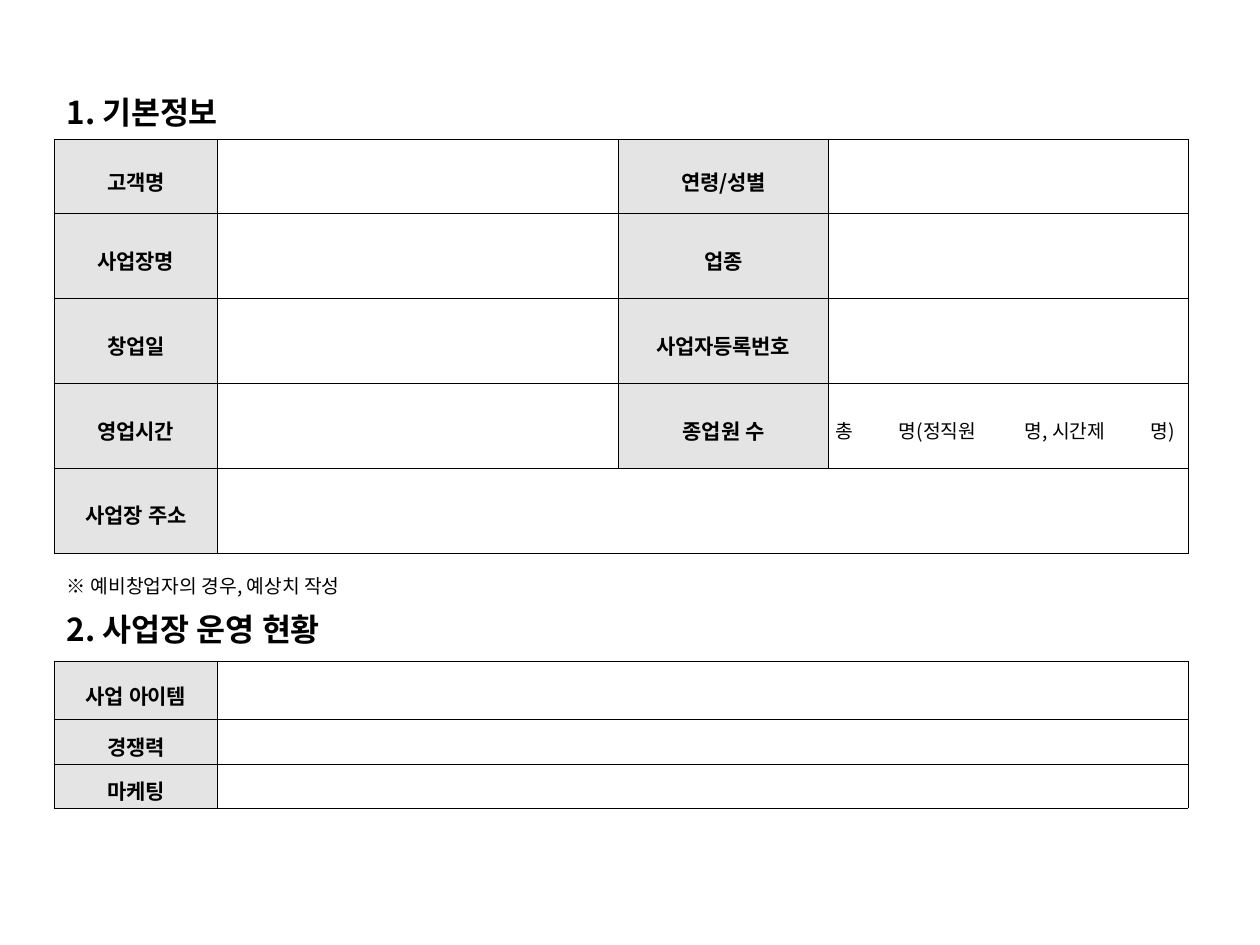
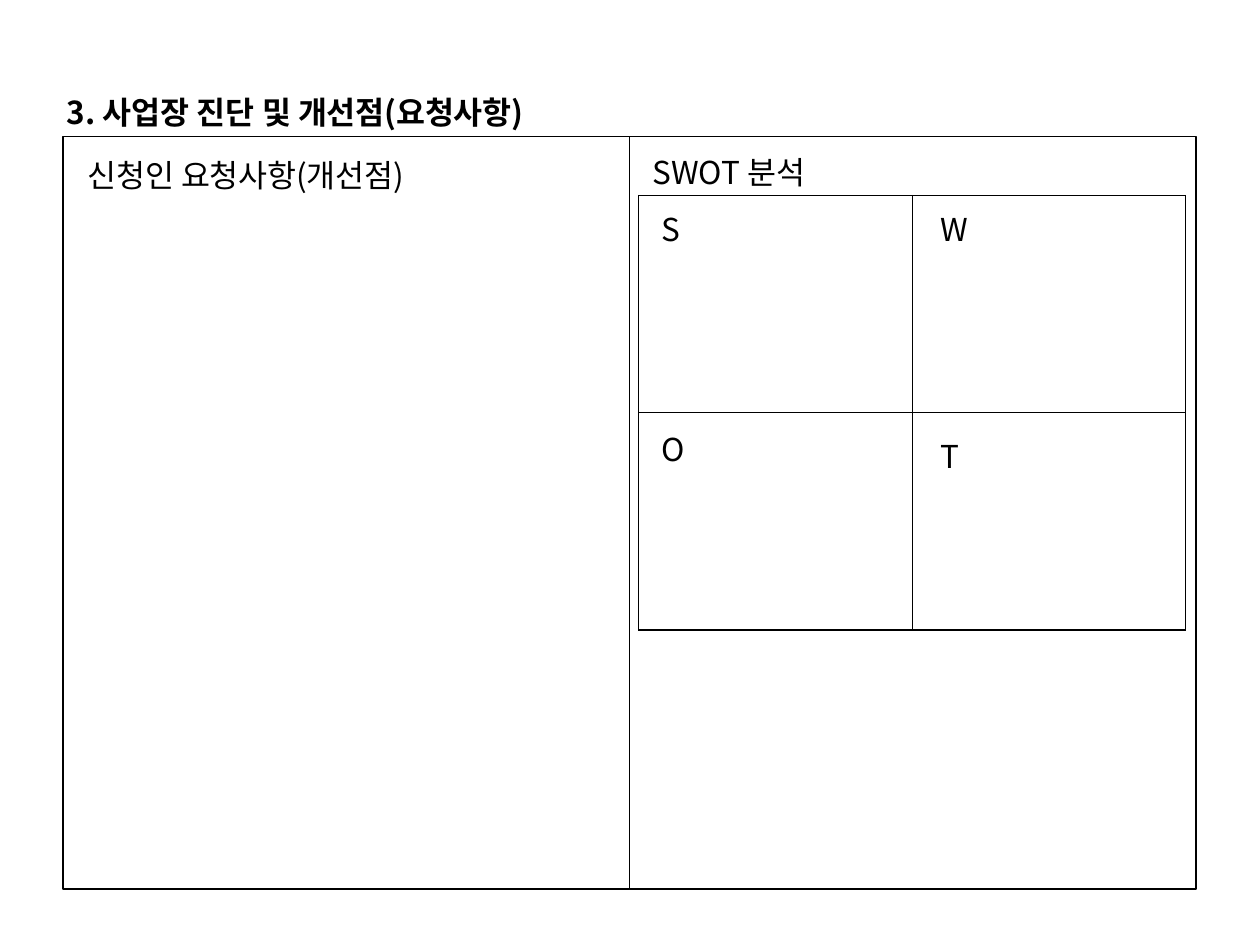
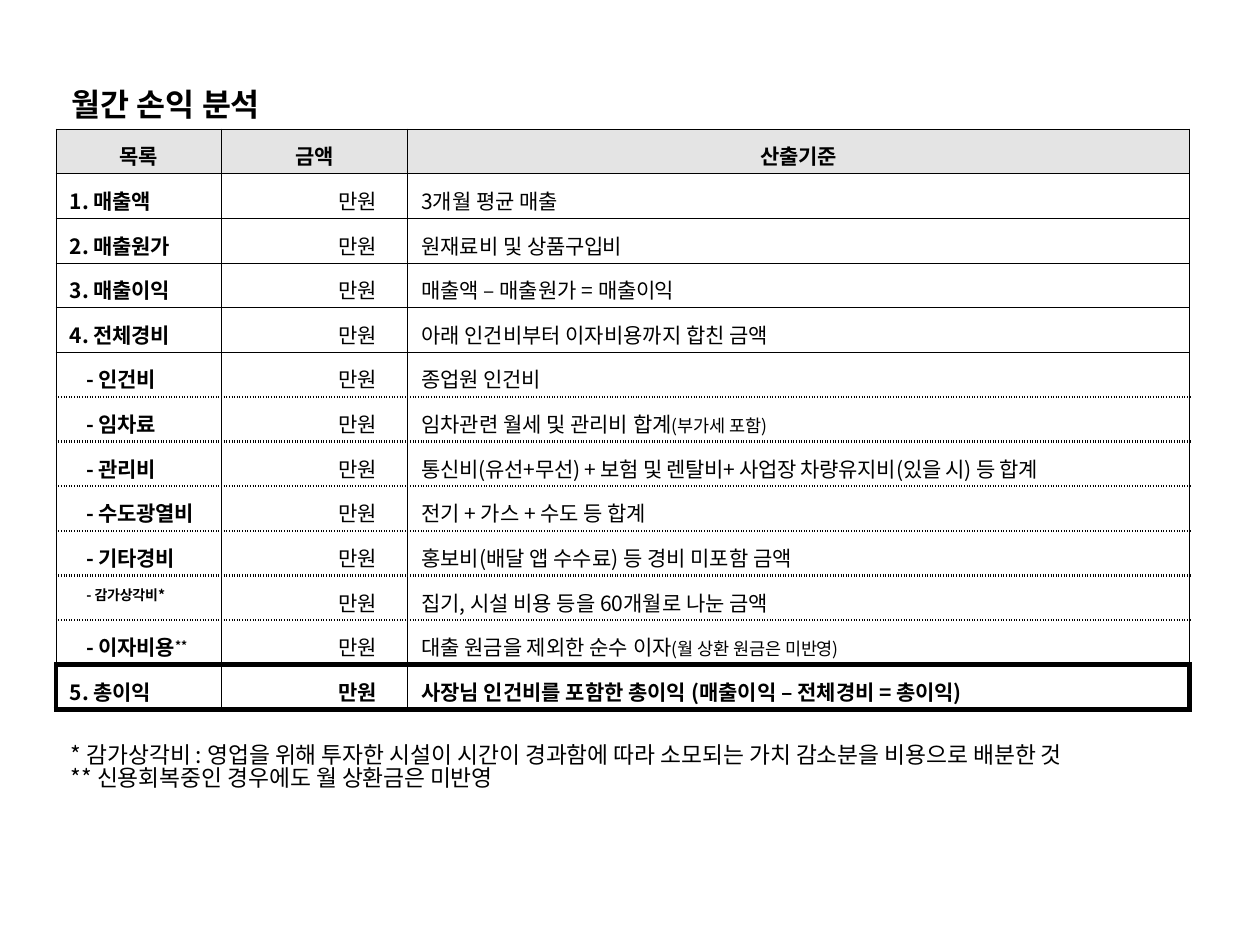
from dataclasses import dataclass
from typing import Optional

import pptx
import pptx.dml.color
import pptx.enum.text
import pptx.oxml.ns
import pptx.util
from lxml import etree

Cm = pptx.util.Cm
Pt = pptx.util.Pt
qn = pptx.oxml.ns.qn
ALIGN = pptx.enum.text.PP_ALIGN
ANCHOR = pptx.enum.text.MSO_ANCHOR

BLACK = pptx.dml.color.RGBColor(0x00, 0x00, 0x00)
LABEL_GREY = pptx.dml.color.RGBColor(0xE4, 0xE4, 0xE4)
FONT = "Noto Sans CJK KR"
TAIL_SPACING = -0.2
HEADING_SIZE = 18


@dataclass(frozen=True)
class Part:
    text: str
    size: float = 12
    bold: bool = False
    spacing: float = 0
    baseline: int = 0


@dataclass(frozen=True)
class Layout:
    align: ALIGN = ALIGN.LEFT
    indent: float = 0
    right_indent: float = 0
    tabs: tuple[float, ...] = ()
    top: float = 0


@dataclass(frozen=True)
class Border:
    width: float
    dash: str = "solid"


@dataclass(frozen=True)
class Item:
    label: str
    basis: str
    remark: str = ""
    mark: str = ""
    label_size: float = 12
    spacing: float = 0

    @property
    def is_expense(self) -> bool:
        return self.label.startswith("-")


@dataclass(frozen=True)
class Quadrant:
    letter: str
    row: int
    column: int
    top: float


THIN = Border(0.5)
MEDIUM = Border(0.75)
THICK = Border(3)
DOTTED = Border(1.5, "dot")

BASIC_ROWS = [
    ("고객명", "연령/성별"),
    ("사업장명", "업종"),
    ("창업일", "사업자등록번호"),
    ("영업시간", "종업원 수"),
    ("사업장 주소", ""),
]
STAFF_COUNT = "총\t명(정직원\t명, 시간제\t명)"
OPERATION_LABELS = ["사업 아이템", "경쟁력", "마케팅"]
QUADRANTS = [
    Quadrant("S", 0, 0, 0.2),
    Quadrant("W", 0, 1, 0.2),
    Quadrant("O", 1, 0, 0.25),
    Quadrant("T", 1, 1, 0.38),
]
PROFIT_HEADERS = ["목록", "금액", "산출기준"]
ITEMS = [
    Item("1. 매출액", "3개월 평균 매출"),
    Item("2. 매출원가", "원재료비 및 상품구입비"),
    Item("3. 매출이익", "매출액 – 매출원가 = 매출이익"),
    Item("4. 전체경비", "아래 인건비부터 이자비용까지 합친 금액"),
    Item("- 인건비", "종업원 인건비"),
    Item("- 임차료", "임차관련 월세 및 관리비 합계", "(부가세 포함)"),
    Item("- 관리비",
         "통신비(유선+무선) + 보험 및 렌탈비+ 사업장 차량유지비(있을 시) 등 합계",
         spacing=-0.2),
    Item("- 수도광열비", "전기 + 가스 + 수도 등 합계"),
    Item("- 기타경비", "홍보비(배달 앱 수수료) 등 경비 미포함 금액"),
    Item("- 감가상각비*", "집기, 시설 비용 등을 60개월로 나눈 금액", label_size=8),
    Item("- 이자비용", "대출 원금을 제외한 순수 이자", "(월 상환 원금은 미반영)", "**"),
    Item("5. 총이익", "사장님 인건비를 포함한 총이익 (매출이익 – 전체경비 = 총이익)"),
]
FOOTNOTES = [
    "* 감가상각비 : 영업을 위해 투자한 시설이 시간이 경과함에 따라 소모되는 "
    "가치 감소분을 비용으로 배분한 것",
    "** 신용회복중인 경우에도 월 상환금은 미반영",
]


def phrase(text: str, size: float = 12, bold: bool = False, spacing: float = 0) -> list[Part]:
    """Split off the last word, which is set slightly tighter."""
    lead, space, tail = text.rpartition(" ")
    parts = [Part(lead + space, size, bold, spacing)] if space else []
    return parts + [Part(tail, size, bold, TAIL_SPACING)]


def write(paragraph, parts: list[Part], layout: Layout) -> None:
    paragraph.alignment = layout.align
    properties = paragraph._p.get_or_add_pPr()
    properties.set("marL", str(Cm(layout.indent)))
    properties.set("marR", str(Cm(layout.right_indent)))
    properties.set("indent", "0")
    if layout.tabs:
        stops = etree.SubElement(properties, qn("a:tabLst"))
        for stop in layout.tabs:
            etree.SubElement(stops, qn("a:tab"), pos=str(Cm(stop)), algn="l")
    for part in parts:
        run = paragraph.add_run()
        run.text = part.text
        run.font.size = Pt(part.size)
        run.font.bold = part.bold
        run.font.color.rgb = BLACK
        run.font.name = FONT
        run_properties = run._r.get_or_add_rPr()
        etree.SubElement(run_properties, qn("a:ea"), typeface=FONT)
        run_properties.set("spc", str(round(part.spacing * 100)))
        if part.baseline:
            run_properties.set("baseline", str(part.baseline * 1000))


def add_text(slide, left: float, top: float, width: float, height: float,
             lines: list[list[Part]]):
    """Add a text box whose lines rest on its lower edge."""
    frame = slide.shapes.add_textbox(Cm(left), Cm(top), Cm(width), Cm(height)).text_frame
    frame.word_wrap = True
    frame.vertical_anchor = ANCHOR.BOTTOM
    frame.margin_left = frame.margin_right = frame.margin_top = frame.margin_bottom = 0
    for index, parts in enumerate(lines):
        paragraph = frame.add_paragraph() if index else frame.paragraphs[0]
        write(paragraph, parts, Layout(indent=0.03))
    return frame


def add_heading(slide, left: float, top: float, width: float, text: str,
                bold: bool = True) -> None:
    add_text(slide, left, top, width, 0.84, [phrase(text, HEADING_SIZE, bold)])


def set_borders(cell, left: Border, right: Border, top: Border, bottom: Border) -> None:
    properties = cell._tc.get_or_add_tcPr()
    edges = zip(("a:lnL", "a:lnR", "a:lnT", "a:lnB"), (left, right, top, bottom))
    for position, (tag, border) in enumerate(edges):
        line = etree.Element(qn(tag), w=str(Pt(border.width)))
        fill = etree.SubElement(line, qn("a:solidFill"))
        etree.SubElement(fill, qn("a:srgbClr"), val=str(BLACK))
        etree.SubElement(line, qn("a:prstDash"), val=border.dash)
        properties.insert(position, line)


def add_grid(slide, left: float, top: float, widths: list[float], heights: list[float],
             border: Optional[Border] = THIN):
    """Add an unfilled table; without a border the caller rules each cell."""
    table = slide.shapes.add_table(
        len(heights), len(widths), Cm(left), Cm(top), Cm(sum(widths)), Cm(sum(heights))
    ).table
    table.first_row = table.horz_banding = False
    for column, width in zip(table.columns, widths):
        column.width = Cm(width)
    for row, height in zip(table.rows, heights):
        row.height = Cm(height)
    for cell in table.iter_cells():
        cell.fill.background()
        cell.margin_left = cell.margin_right = cell.margin_top = cell.margin_bottom = 0
        if border:
            set_borders(cell, border, border, border, border)
    return table


def fill_cell(cell, parts: list[Part], layout: Layout) -> None:
    cell.margin_top = Cm(layout.top)
    write(cell.text_frame.paragraphs[0], parts, layout)


def fill_label(cell, text: str, top: float) -> None:
    cell.fill.solid()
    cell.fill.fore_color.rgb = LABEL_GREY
    fill_cell(cell, phrase(text, bold=True), Layout(ALIGN.CENTER, top=top))


def build_basic_info(slide) -> None:
    basics = add_grid(slide, 1.09, 2.82, [3.3, 8.08, 4.23, 7.25], [1.49] + [1.71] * 4)
    for row, labels in enumerate(BASIC_ROWS):
        for column, label in zip((0, 2), labels):
            if label:
                fill_label(basics.cell(row, column), label, 0.63 if row else 0.53)
    fill_cell(basics.cell(3, 3), phrase(STAFF_COUNT, 11),
              Layout(indent=0.15, tabs=(1.5, 3.86, 6.17), top=0.65))
    basics.cell(4, 1).merge(basics.cell(4, 3))

    section = add_text(slide, 1.32, 11.1, 6.07, 1.96, [
        phrase("※ 예비창업자의 경우, 예상치 작성", 11),
        phrase("2. 사업장 운영 현황", HEADING_SIZE, True),
    ])
    section.paragraphs[1].space_before = Pt(7.4)
    add_heading(slide, 1.32, 1.8, 3.38, "1. 기본정보")

    operations = add_grid(slide, 1.09, 13.34, [3.3, 19.56], [1.17, 0.89, 0.89])
    for row, label in enumerate(OPERATION_LABELS):
        fill_label(operations.cell(row, 0), label, 0.23 if row else 0.38)


def add_diagnosis_frame(slide) -> None:
    """Draw two equal panels side by side as one outline."""
    left, top, width, height = Cm(1.27), Cm(2.75), Cm(11.42), Cm(15.17)
    bottom = top + height
    builder = slide.shapes.build_freeform(left, bottom)
    for panel_left in (left, left + width):
        right = panel_left + width
        if panel_left != left:
            builder.move_to(panel_left, bottom)
        builder.add_line_segments([(right, bottom), (right, top), (panel_left, top)], close=True)
    panels = builder.convert_to_shape()
    panels.shadow.inherit = False
    panels.fill.background()
    panels.line.color.rgb = BLACK
    panels.line.width = Pt(MEDIUM.width)


def build_diagnosis(slide) -> None:
    add_heading(slide, 1.32, 1.8, 10.21, "3. 사업장 진단 및 개선점(요청사항)")
    add_diagnosis_frame(slide)
    add_heading(slide, 13.13, 3, 3.3, "SWOT 분석", bold=False)
    swot = add_grid(slide, 12.88, 3.94, [5.51] * 2, [4.38] * 2, MEDIUM)
    for quadrant in QUADRANTS:
        fill_cell(swot.cell(quadrant.row, quadrant.column),
                  [Part(quadrant.letter, HEADING_SIZE)],
                  Layout(indent=0.56 if quadrant.column else 0.46, top=quadrant.top))
    add_heading(slide, 1.73, 3.07, 7.04, "신청인 요청사항(개선점)", bold=False)


def border_below(row: int) -> Border:
    """Expenses are divided by dots, and the last row is boxed in."""
    if row >= len(ITEMS) - 1:
        return THICK
    return DOTTED if row > 0 and ITEMS[row - 1].is_expense else THIN


def build_profit(slide) -> None:
    last_row = len(ITEMS)
    profit = add_grid(slide, 1.13, 2.6, [3.33, 3.75, 15.77], [0.9] * (last_row + 1), None)
    last_column = len(PROFIT_HEADERS) - 1
    for row in range(last_row + 1):
        for column in range(last_column + 1):
            set_borders(
                profit.cell(row, column),
                left=THICK if (row, column) == (last_row, 0) else THIN,
                right=THICK if (row, column) == (last_row, last_column) else THIN,
                top=border_below(row - 1),
                bottom=border_below(row),
            )
    for column, header in enumerate(PROFIT_HEADERS):
        fill_label(profit.cell(0, column), header, 0.23)
    for row, item in enumerate(ITEMS, start=1):
        is_total = row == last_row
        label = phrase(item.label, item.label_size, True)
        if item.mark:
            label.append(Part(item.mark, bold=True, baseline=24))
        basis = phrase(item.basis, bold=is_total, spacing=item.spacing)
        if item.remark:
            basis += phrase(item.remark, 10)
        fill_cell(profit.cell(row, 0), label,
                  Layout(indent=0.61 if item.is_expense else 0.28,
                         top=0.18 if item.label_size < 12 else 0.23))
        fill_cell(profit.cell(row, 1), phrase("만원", bold=is_total),
                  Layout(ALIGN.RIGHT, right_indent=0.62, top=0.23))
        fill_cell(profit.cell(row, 2), basis, Layout(indent=0.28, top=0.23))

    add_heading(slide, 1.42, 1.63, 4.29, "월간 손익 분석")
    footnotes = add_text(slide, 1.4, 14.78, 22.43, 1.17, [phrase(note, 13) for note in FOOTNOTES])
    for paragraph in footnotes.paragraphs:
        paragraph.line_spacing = 0.83


def main() -> None:
    presentation = pptx.Presentation()
    presentation.slide_width = Cm(25.4)
    presentation.slide_height = Cm(19.05)
    blank = presentation.slide_layouts[6]
    for build in (build_basic_info, build_diagnosis, build_profit):
        build(presentation.slides.add_slide(blank))
    presentation.save("out.pptx")


if __name__ == "__main__":
    main()
